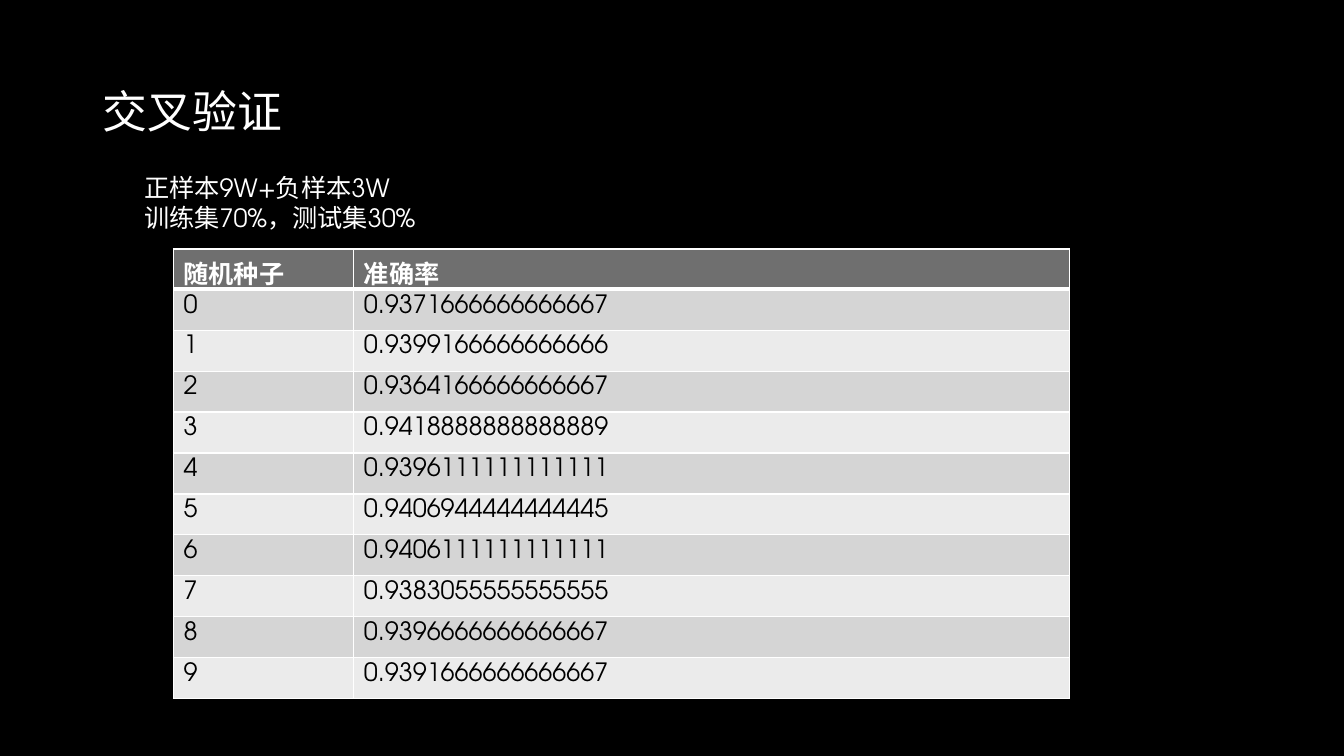
from lxml.etree import SubElement
from pptx import Presentation
from pptx.dml.color import RGBColor
from pptx.enum.text import MSO_ANCHOR
from pptx.oxml.ns import qn
from pptx.util import Inches, Pt

FONT = "TeX Gyre Adventor"
COLORS = {
    "background": "000000",
    "light": "FFFFFF",
    "dark": "000000",
    "header": "6F6F6F",
    "odd": "D5D5D5",
    "even": "EBEBEB",
}
ACCURACIES = [
    "0.9371666666666667", "0.9399166666666666", "0.9364166666666667",
    "0.9418888888888889", "0.9396111111111111", "0.9406944444444445",
    "0.9406111111111111", "0.9383055555555555", "0.9396666666666667",
    "0.9391666666666667",
]


def color(name):
    """Return the named colour."""
    return RGBColor.from_string(COLORS[name])


def write(tf, text, size=18, fill="light", bold=False):
    """Write each line of the text as a formatted paragraph."""
    for i, line in enumerate(text.split("\n")):
        p = tf.add_paragraph() if i else tf.paragraphs[0]
        r = p.add_run()
        r.text = line
        r.font.name = FONT
        r.font.size = Pt(size)
        r.font.bold = bold
        r.font.color.rgb = color(fill)


def add_text(s, box, text, anchor=MSO_ANCHOR.TOP, **fmt):
    """Place a wrapped text box."""
    tf = s.shapes.add_textbox(*map(Inches, box)).text_frame
    tf.word_wrap = True
    tf.vertical_anchor = anchor
    write(tf, text, **fmt)


def set_borders(cell, widths):
    """Give a cell solid light borders of the given widths in points."""
    pr = cell._tc.get_or_add_tcPr()
    for i, (side, width) in enumerate(widths.items()):
        ln = SubElement(pr, qn(f"a:{side}"), w=str(Pt(width)))
        fill = SubElement(ln, qn("a:solidFill"))
        SubElement(fill, qn("a:srgbClr"), val=COLORS["light"])
        pr.remove(ln)
        pr.insert(i, ln)


def add_accuracy_table(s, box, seed_width=1.79, header_height=0.4):
    """Place the table of accuracy by random seed."""
    rows = [("随机种子", "准确率")]
    rows += [(str(seed), value) for seed, value in enumerate(ACCURACIES)]
    table = s.shapes.add_table(len(rows), 2, *map(Inches, box)).table
    width, height = box[2:]
    table.columns[0].width = Inches(seed_width)
    table.columns[1].width = Inches(width - seed_width)
    row_height = (height - header_height) / len(ACCURACIES)
    for i, values in enumerate(rows):
        header = i == 0
        table.rows[i].height = Inches(header_height if header else row_height)
        fill = "header" if header else "odd" if i % 2 else "even"
        for j, value in enumerate(values):
            cell = table.cell(i, j)
            cell.fill.solid()
            cell.fill.fore_color.rgb = color(fill)
            write(cell.text_frame, value, bold=header,
                  fill="light" if header else "dark")
            set_borders(cell, {"lnL": 1, "lnR": 1, "lnT": 3 if i == 1 else 1,
                               "lnB": 3 if header else 1})


def build_validation_slide(prs):
    """Build the cross-validation slide."""
    s = prs.slides.add_slide(prs.slide_layouts[6])
    s.background.fill.solid()
    s.background.fill.fore_color.rgb = color("background")
    add_text(s, (0.92, 0.37, 11.5, 1.45), "交叉验证",
             anchor=MSO_ANCHOR.MIDDLE, size=32)
    add_text(s, (1.33, 1.66, 8.69, 1.01),
             "正样本9W+负样本3W\n训练集70%，测试集30%")
    add_accuracy_table(s, (1.72, 2.47, 8.89, 4.46))


def main():
    """Create and save the presentation."""
    prs = Presentation()
    prs.slide_width = Inches(13.33)
    prs.slide_height = Inches(7.5)
    build_validation_slide(prs)
    prs.save("out.pptx")


if __name__ == "__main__":
    main()
